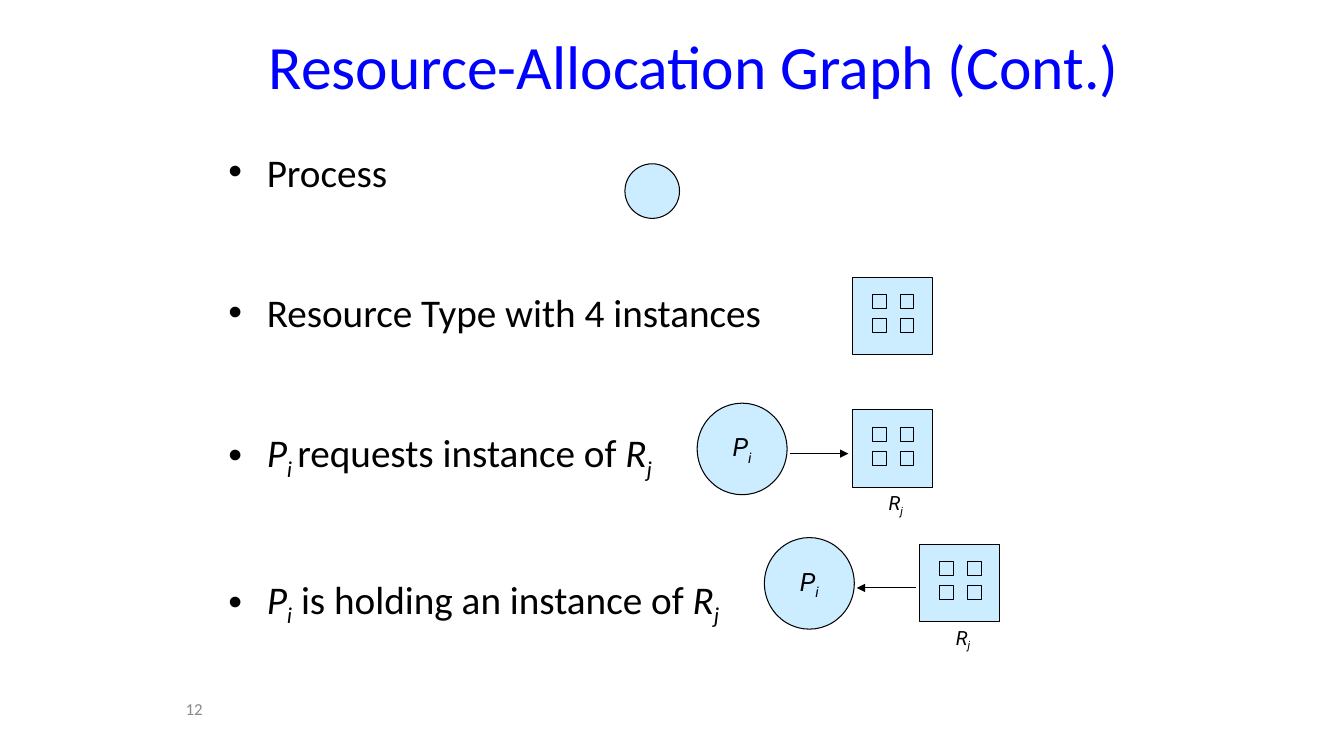
from dataclasses import dataclass
from itertools import product

from lxml.etree import SubElement
from pptx import Presentation
from pptx.dml.color import RGBColor
from pptx.enum.shapes import MSO_CONNECTOR, MSO_SHAPE
from pptx.enum.text import MSO_ANCHOR, MSO_AUTO_SIZE, PP_ALIGN
from pptx.oxml.ns import qn
from pptx.util import Inches, Pt


@dataclass(frozen=True)
class Theme:
    title_color: RGBColor = RGBColor(0x00, 0x00, 0xFF)
    ink: RGBColor = RGBColor(0x00, 0x00, 0x00)
    fill: RGBColor = RGBColor(0xCC, 0xEC, 0xFF)
    muted: RGBColor = RGBColor(0x89, 0x89, 0x89)
    text_font: str = "Calibri"
    symbol_font: str = "Roboto"
    title_size: int = 44
    body_size: int = 28
    process_size: int = 18
    resource_size: int = 14
    number_size: int = 12
    line_width: float = 0.75
    bullet_gap: float = 66.5


PROCESS = [("P", "italic"), ("i", "subscript")]
RESOURCE = [("R", "italic"), ("j", "subscript")]


def cell(count):
    return Inches(count / 12)


class GraphSlide:
    def __init__(self, deck, theme):
        self.theme = theme
        self.slide = deck.slides.add_slide(deck.slide_layouts[1])

    def add_spans(self, paragraph, spans, font, size, color):
        for text, style in spans:
            run = paragraph.add_run()
            run.text = text
            run.font.name = font
            run.font.size = Pt(size)
            run.font.color.rgb = color
            run.font.italic = style != "plain"
            if style == "subscript":
                run._r.get_or_add_rPr().set("baseline", "-25000")

    def place(self, holder, col, row, cols, rows, anchor):
        holder.left, holder.top = cell(col), cell(row)
        holder.width, holder.height = cell(cols), cell(rows)
        frame = holder.text_frame
        frame.auto_size = MSO_AUTO_SIZE.NONE
        frame.word_wrap = True
        frame.vertical_anchor = anchor
        return frame

    def title(self, text, *area):
        frame = self.place(self.slide.shapes.title, *area, MSO_ANCHOR.MIDDLE)
        heading = frame.paragraphs[0]
        heading.alignment = PP_ALIGN.CENTER
        self.add_spans(heading, [(text, "plain")], self.theme.text_font,
                       self.theme.title_size, self.theme.title_color)

    def bullets(self, items, *area):
        frame = self.place(self.slide.placeholders[1], *area, MSO_ANCHOR.TOP)
        for index, spans in enumerate(items):
            item = frame.add_paragraph() if index else frame.paragraphs[0]
            item.space_before = Pt(self.theme.bullet_gap if index else 0)
            properties = item._p.get_or_add_pPr()
            properties.set("marL", str(Inches(0.38)))
            properties.set("indent", str(Inches(-0.38)))
            SubElement(properties, qn("a:buChar")).set("char", "•")
            self.add_spans(item, spans, self.theme.text_font,
                           self.theme.body_size, self.theme.ink)

    def label(self, spans, font, size, color, align, *area):
        box = self.slide.shapes.add_textbox(0, 0, 0, 0)
        frame = self.place(box, *area, MSO_ANCHOR.MIDDLE)
        frame.paragraphs[0].alignment = align
        self.add_spans(frame.paragraphs[0], spans, font, size, color)

    def node(self, shapes, kind, col, row, cols, rows):
        node = shapes.add_shape(kind, cell(col), cell(row), cell(cols), cell(rows))
        node.shadow.inherit = False
        node.fill.solid()
        node.fill.fore_color.rgb = self.theme.fill
        node.line.color.rgb = self.theme.ink
        node.line.width = Pt(self.theme.line_width)
        return node

    def process(self, col, row, cols, rows, spans=()):
        circle = self.node(self.slide.shapes, MSO_SHAPE.OVAL, col, row, cols, rows)
        frame = circle.text_frame
        frame.word_wrap = False
        frame.vertical_anchor = MSO_ANCHOR.MIDDLE
        frame.paragraphs[0].alignment = PP_ALIGN.CENTER
        self.add_spans(frame.paragraphs[0], spans, self.theme.symbol_font,
                       self.theme.process_size, self.theme.ink)

    def resource(self, col, row):
        shapes = self.slide.shapes.add_group_shape().shapes
        self.node(shapes, MSO_SHAPE.RECTANGLE, col, row, 9.5, 9.2)
        for down, across in product(range(2), repeat=2):
            self.node(shapes, MSO_SHAPE.RECTANGLE, col + 2.4 + 3.3 * across,
                      row + 2.1 + 2.85 * down, 1.6, 1.65)

    def arrow(self, start, end, row):
        edge = self.slide.shapes.add_connector(
            MSO_CONNECTOR.STRAIGHT, cell(start), cell(row), cell(end), cell(row))
        edge.line.color.rgb = self.theme.ink
        edge.line.width = Pt(self.theme.line_width)
        SubElement(edge.line._get_or_add_ln(), qn("a:tailEnd")).set("type", "triangle")
        SubElement(edge._element.spPr, qn("a:effectLst"))

    def relation(self, col, row, start, end):
        self.process(col, row, 10.7, 10.9, PROCESS)
        self.resource(col + 18.5, row + 0.8)
        self.arrow(col + start, col + end, row + 6)
        self.label(RESOURCE, self.theme.symbol_font, self.theme.resource_size,
                   self.theme.ink, PP_ALIGN.CENTER, col + 20, row + 10, 7.3, 4.1)


def main():
    deck = Presentation()
    deck.slide_width, deck.slide_height = cell(160), cell(90)
    theme = Theme()
    graph = GraphSlide(deck, theme)

    graph.title("Resource-Allocation Graph (Cont.)", 26, 4, 113.3, 7.5)
    graph.bullets([
        [("Process", "plain")],
        [("Resource Type with 4 instances", "plain")],
        [("P", "italic"), ("i ", "subscript"),
         ("requests instance of ", "plain"), *RESOURCE],
        [*PROCESS, (" is holding an instance of ", "plain"), *RESOURCE],
    ], 26, 17, 96.4, 59.4)

    graph.process(74.4, 19.5, 6.5, 6.5)
    graph.resource(101.5, 33)
    graph.relation(83, 48, start=11, end=18)
    graph.relation(91, 64, start=18, end=11)

    graph.label([("12", "plain")], theme.text_font, theme.number_size,
                theme.muted, PP_ALIGN.RIGHT, 4, 82, 21.3, 4.8)
    deck.save("out.pptx")


if __name__ == "__main__":
    main()
